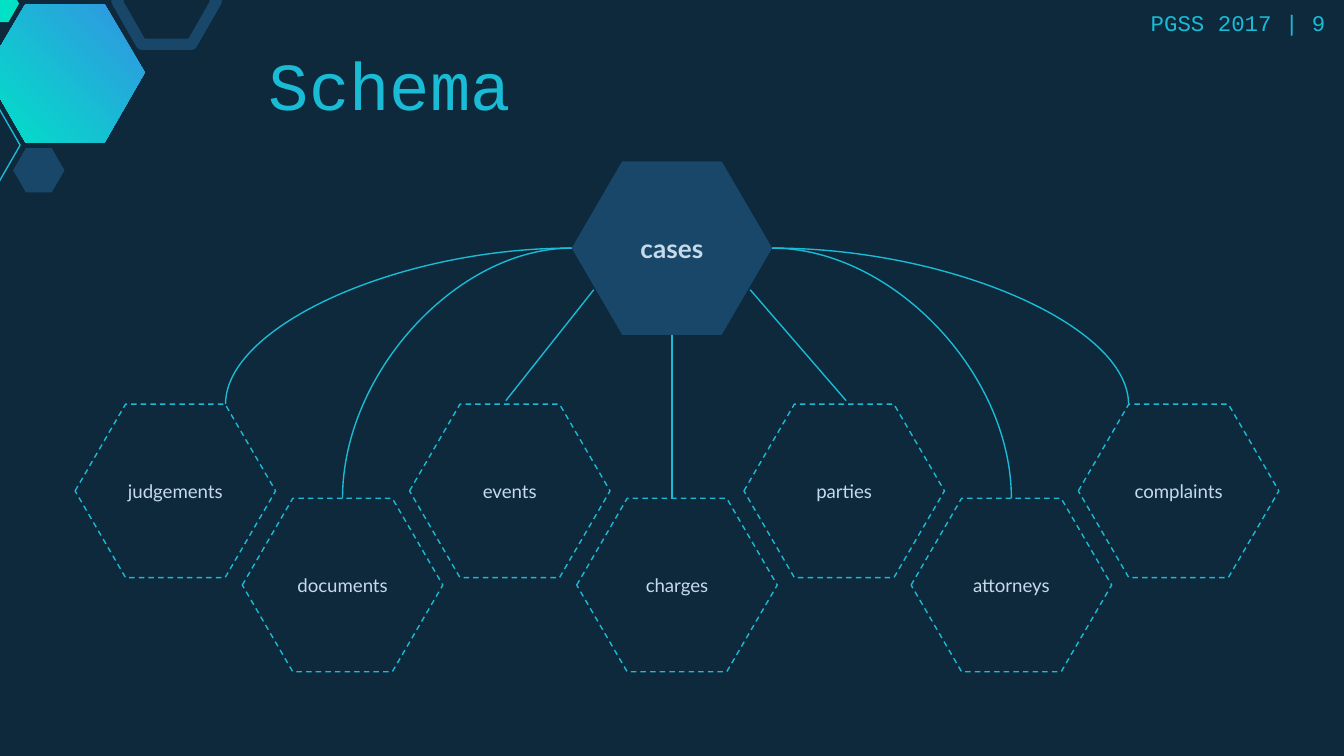
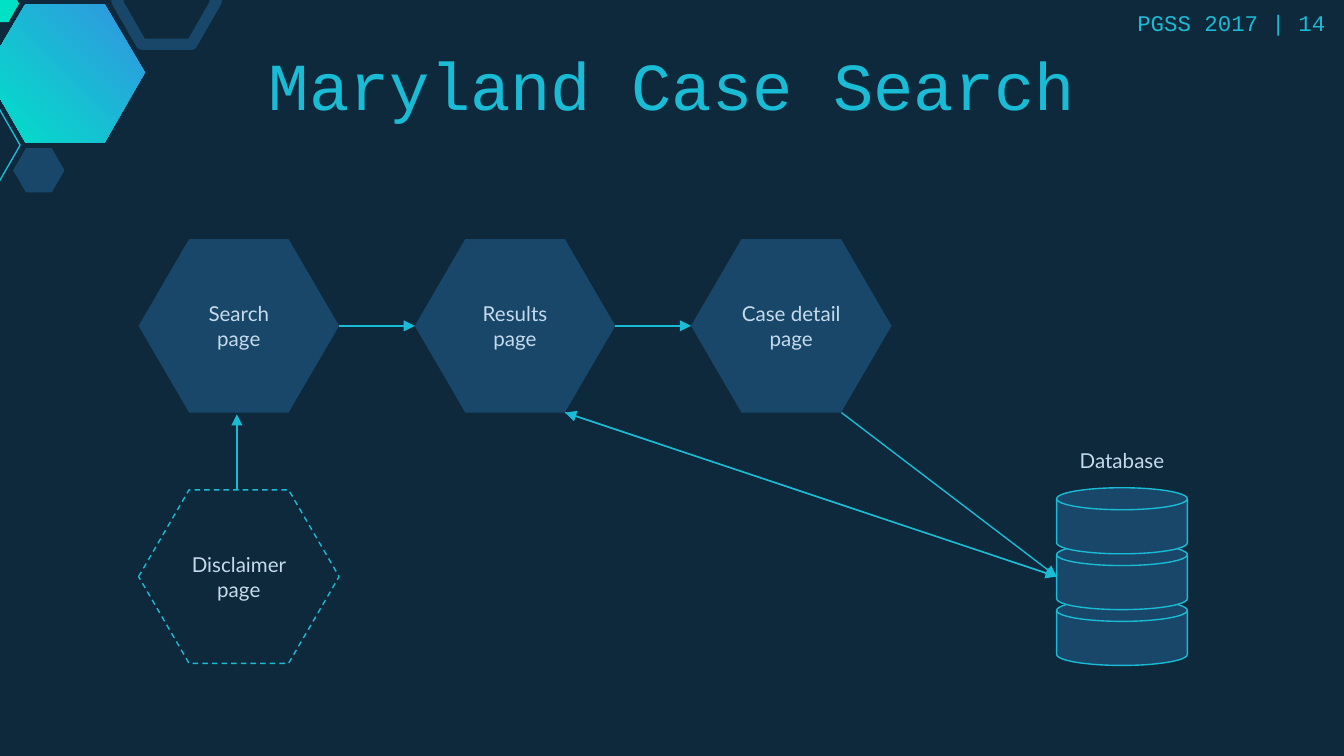
from dataclasses import dataclass

from lxml.etree import SubElement
from pptx import Presentation
from pptx.dml.color import RGBColor
from pptx.enum.dml import MSO_LINE
from pptx.enum.shapes import MSO_CONNECTOR, MSO_SHAPE
from pptx.enum.text import MSO_ANCHOR, PP_ALIGN
from pptx.oxml.ns import qn
from pptx.util import Cm, Pt


@dataclass(frozen=True)
class Theme:
    night: str = "0E293C"
    navy: str = "184769"
    cyan: str = "19BBD5"
    mint: str = "00E1C6"
    glow: tuple = ("3393E2", "00E2C7")
    pale: str = "C6DAEC"
    mono: str = "Courier New"
    sans: str = "Lato"
    title: int = 36
    footer: int = 12
    root: int = 14
    page: int = 11
    table: int = 10
    hairline: float = 0.75
    heavy: float = 6
    inset: float = 0.25


@dataclass(frozen=True)
class Box:
    """Rectangle in centimetres."""
    x: float
    y: float
    w: float
    h: float

    def at(self, fx, fy):
        """Point at the given fractions of width and height."""
        return self.x + fx * self.w, self.y + fy * self.h

    def sub(self, dx, dy, w, h):
        return Box(self.x + dx, self.y + dy, w, h)

    def emu(self):
        return [Cm(v) for v in (self.x, self.y, self.w, self.h)]


T = Theme()
PAGE = Box(0, 0, 25.4, 14.29)
HEX_W, HEX_H = 3.79, 3.28


def rgb(value):
    return RGBColor.from_string(value)


def put_text(sp, text, size, font=T.sans, color=T.pale, bold=False,
             align=PP_ALIGN.CENTER, anchor=MSO_ANCHOR.MIDDLE):
    tf = sp.text_frame
    frame = {"word_wrap": True, "vertical_anchor": anchor}
    for side in ("left", "right", "top", "bottom"):
        frame[f"margin_{side}"] = Cm(T.inset)
    for name, value in frame.items():
        setattr(tf, name, value)
    p = tf.paragraphs[0]
    p.alignment = align
    r = p.add_run()
    r.text = text
    for name, value in {"name": font, "size": Pt(size), "bold": bold}.items():
        setattr(r.font, name, value)
    r.font.color.rgb = rgb(color)


def add_text(slide, box, text, size, **style):
    put_text(slide.shapes.add_textbox(*box.emu()), text, size, **style)


def add_shape(shapes, kind, box, fill=None, line=None, width=T.hairline, dash=None):
    sp = shapes.add_shape(kind, *box.emu())
    sp.shadow.inherit = False
    if fill:
        sp.fill.solid()
        sp.fill.fore_color.rgb = rgb(fill)
    else:
        sp.fill.background()
    if line:
        sp.line.color.rgb = rgb(line)
        sp.line.width = Pt(width)
        sp.line.dash_style = dash
    else:
        sp.line.fill.background()
    return sp


def add_hexagon(slide, box, adj=0.291, **paint):
    sp = add_shape(slide.shapes, MSO_SHAPE.HEXAGON, box, **paint)
    sp.adjustments[0] = adj
    return sp


def solid_node(slide, box, text, size, bold=False):
    put_text(add_hexagon(slide, box, fill=T.navy), text, size, bold=bold)


def dashed_node(slide, box, text, size):
    sp = add_hexagon(slide, box, line=T.cyan, dash=MSO_LINE.DASH)
    put_text(sp, text, size)


def add_link(slide, start, end, curved=False, arrow=False):
    kind = MSO_CONNECTOR.CURVE if curved else MSO_CONNECTOR.STRAIGHT
    cx = slide.shapes.add_connector(kind, *[Cm(v) for v in (*start, *end)])
    cx.line.color.rgb = rgb(T.cyan)
    cx.line.width = Pt(T.hairline)
    props = cx._element.spPr
    if curved:  # quarter arc: leaves sideways, arrives from above
        props.find(qn("a:prstGeom")).set("prst", "curvedConnector2")
    if arrow:
        SubElement(props.find(qn("a:ln")), qn("a:tailEnd"), type="triangle")
    SubElement(props, qn("a:effectLst"))


# Hexagon cluster in the top left corner
def draw_corner(slide, box):
    outline = [(2.74, 1.37), (1.98, 2.69), (0.48, 2.69),
               (-0.28, 1.37), (0.48, 0.08), (1.98, 0.08)]
    points = [(Cm(box.x + x), Cm(box.y + y)) for x, y in outline]
    builder = slide.shapes.build_freeform(*points[0])
    builder.add_line_segments(points[1:], close=True)
    sp = builder.convert_to_shape()
    sp.shadow.inherit = False
    sp.line.fill.background()
    sp.fill.gradient()
    sp.fill.gradient_angle = 225
    for stop, color in zip(sp.fill.gradient_stops, T.glow):
        stop.color.rgb = rgb(color)

    small = [
        ((-1.5, 1.93, 1.88, 1.63), {"line": T.cyan}),
        ((0.25, 2.8, 0.97, 0.84), {"fill": T.navy}),
        ((2.21, -0.79, 1.88, 1.63), {"line": T.navy, "width": T.heavy}),
        ((-0.46, -0.28, 0.82, 0.7), {"fill": T.mint}),
    ]
    for place, paint in small:
        add_hexagon(slide, box.sub(*place), adj=0.287, **paint)


# Background, corner, page mark and title shared by the slides
def new_slide(prs, title, number, title_width):
    slide = prs.slides.add_slide(prs.slide_layouts[6])
    slide.background.fill.solid()
    slide.background.fill.fore_color.rgb = rgb(T.night)
    draw_corner(slide, PAGE)
    heading = {"font": T.mono, "color": T.cyan}
    add_text(slide, PAGE.sub(20.98, 0, 4.32, 0.84), f"PGSS 2017 | {number}",
             T.footer, align=PP_ALIGN.RIGHT, **heading)
    add_text(slide, PAGE.sub(4.83, 0.79, title_width, 1.8), title, T.title,
             align=PP_ALIGN.LEFT, anchor=MSO_ANCHOR.BOTTOM, **heading)
    return slide


# One root table over a zigzag row of child tables
def draw_schema(slide, box):
    left, right = (0, 0.5), (1, 0.5)
    # name, point on root, point on child, curved
    children = [
        ("judgements", left, (0.75, 0), True),
        ("documents", left, (0.5, 0), True),
        ("events", (0.11, 0.74), (0.48, -0.02), False),
        ("charges", (0.5, 1), (0.475, 0), False),
        ("parties", (0.89, 0.74), (0.51, -0.02), False),
        ("attorneys", right, (0.5, 0), True),
        ("complaints", right, (0.25, 0), True),
    ]
    root = box.sub((box.w - HEX_W) / 2, 0, HEX_W, HEX_H)
    solid_node(slide, root, "cases", T.root, bold=True)
    for i, (name, leave, arrive, curved) in enumerate(children):
        child = box.sub(1.42 + 3.16 * i, 4.59 + 1.78 * (i % 2), HEX_W, HEX_H)
        dashed_node(slide, child, name, T.table)
        add_link(slide, root.at(*leave), child.at(*arrive), curved)


# Stack of disks with its label
def draw_database(slide, box):
    add_text(slide, box.sub(-0.34, -0.99, 3.15, 1.3), "Database", T.page,
             anchor=MSO_ANCHOR.TOP)
    disk_h = 1.25
    pitch = (box.h - disk_h) / 2
    group = slide.shapes.add_group_shape()
    for i in (2, 1, 0):
        add_shape(group.shapes, MSO_SHAPE.FLOWCHART_MAGNETIC_DISK,
                  box.sub(0, pitch * i, box.w, disk_h), fill=T.navy, line=T.cyan)


# Page sequence feeding the database
def draw_search_flow(slide, box):
    search, results, detail = pages = [
        box.sub(5.22 * i, 0, HEX_W, HEX_H) for i in range(3)]
    disclaimer = box.sub(0, 4.74, HEX_W, HEX_H)
    database = box.sub(17.35, 4.7, 2.47, 3.36)

    for page, name in zip(pages, ("Search", "Results", "Case detail")):
        solid_node(slide, page, f"{name} page", T.page)
    dashed_node(slide, disclaimer, "Disclaimer page", T.page)
    draw_database(slide, database)

    store, out = database.at(0, 0.5), results.at(0.75, 1)
    arrows = [
        (disclaimer.at(0.49, 0), search.at(0.49, 1.01)),
        (search.at(1, 0.5), results.at(0, 0.5)),
        (results.at(1, 0.5), detail.at(0, 0.5)),
        (out, store),
        (detail.at(0.75, 1), store),
        (store, out),
    ]
    for start, end in arrows:
        add_link(slide, start, end, arrow=True)


def main():
    prs = Presentation()
    prs.slide_width, prs.slide_height = Cm(PAGE.w), Cm(PAGE.h)
    draw_schema(new_slide(prs, "Schema", 9, 13.74), PAGE.sub(0, 3.05, PAGE.w, 9.65))
    draw_search_flow(new_slide(prs, "Maryland Case Search", 14, 16.76),
                     PAGE.sub(2.62, 4.52, 19.82, 8.06))
    prs.save("out.pptx")


if __name__ == "__main__":
    main()
